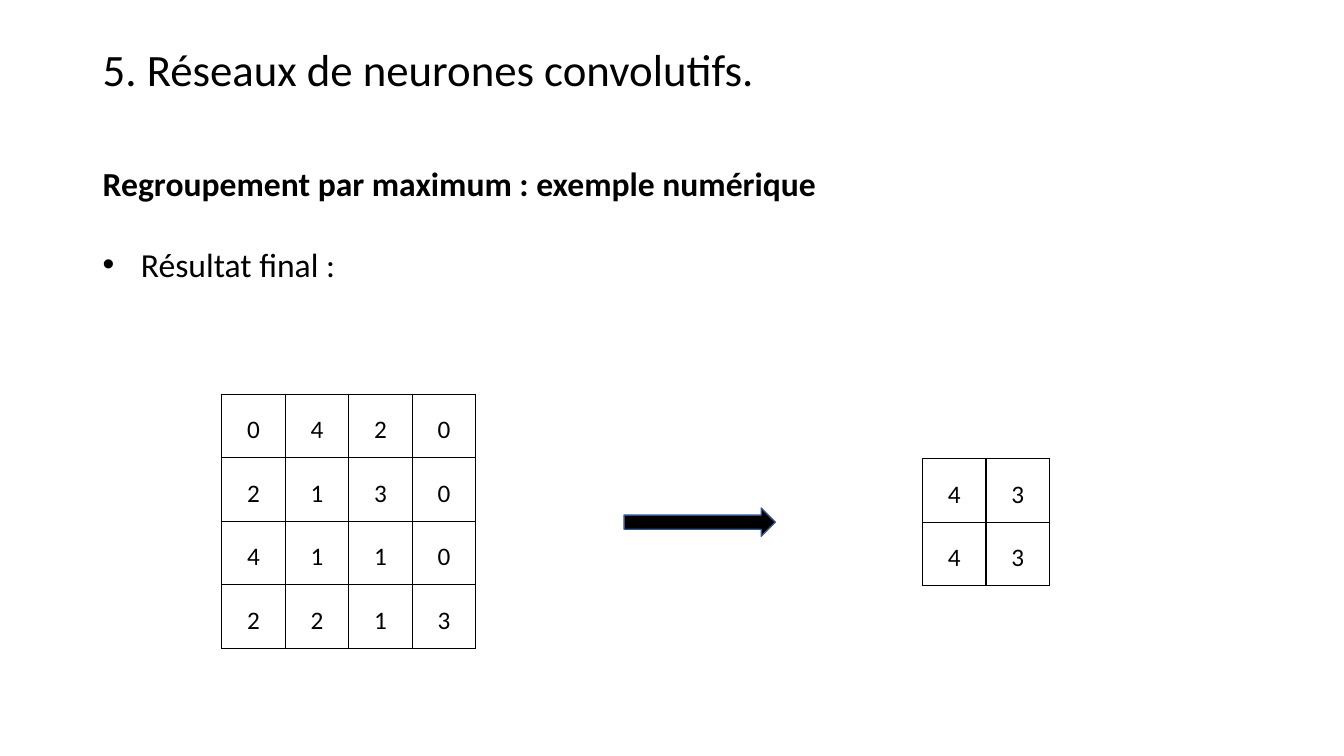
from lxml.etree import SubElement
from pptx import Presentation
from pptx.dml.color import RGBColor
from pptx.enum.shapes import MSO_SHAPE as Shape
from pptx.enum.text import MSO_ANCHOR as Anchor, PP_ALIGN as Align
from pptx.oxml import parse_xml
from pptx.oxml.ns import nsdecls, qn
from pptx.util import Pt

PX = 9144
CELL = 63
FONT = "Calibri"
BLACK = RGBColor(0, 0, 0)
WHITE = RGBColor(255, 255, 255)
BLUE = RGBColor(0x32, 0x54, 0x91)

INPUT = ["0420", "2130", "4110", "2213"]
POOLED = ["43", "43"]


def scale(*sizes):
    return [size * PX for size in sizes]


def style(para, text, size, bold=False):
    para.text = text
    font = para.font
    font.name, font.size, font.bold = FONT, Pt(size), bold
    font.color.rgb = BLACK


def add_box(slide, *place, anchor=Anchor.TOP):
    frame = slide.shapes.add_textbox(*scale(*place)).text_frame
    frame.word_wrap = True
    frame.vertical_anchor = anchor
    return frame


def add_bullet(para):
    props = para._p.get_or_add_pPr()
    props.set("marL", str(38 * PX))
    props.set("indent", str(-38 * PX))
    SubElement(props, qn("a:buFont"), typeface="Arial")
    SubElement(props, qn("a:buChar"), char="•")


def add_border(cell):
    props = cell._tc.get_or_add_tcPr()
    for spot, side in enumerate("LRTB"):
        props.insert(spot, parse_xml(
            f'<a:ln{side} {nsdecls("a")} w="{Pt(1)}"><a:solidFill>'
            f'<a:srgbClr val="{BLACK}"/></a:solidFill></a:ln{side}>'))


def add_grid(slide, left, top, values):
    rows, cols = len(values), len(values[0])
    place = scale(left, top, cols * CELL, rows * CELL)
    table = slide.shapes.add_table(rows, cols, *place).table
    table.first_row = table.horz_banding = False
    for cell, value in zip(table.iter_cells(), "".join(values)):
        cell.fill.solid()
        cell.fill.fore_color.rgb = WHITE
        add_border(cell)
        para = cell.text_frame.paragraphs[0]
        style(para, value, 18)
        para.alignment = Align.CENTER
        para.line_spacing = 1.5


def add_arrow(slide, *place):
    arrow = slide.shapes.add_shape(Shape.RIGHT_ARROW, *scale(*place))
    arrow.shadow.inherit = False
    arrow.fill.solid()
    arrow.fill.fore_color.rgb = BLACK
    arrow.line.color.rgb = BLUE
    arrow.line.width = Pt(1)


def main():
    deck = Presentation()
    deck.slide_width, deck.slide_height = scale(1333, 750)
    slide = deck.slides.add_slide(deck.slide_layouts[6])

    title = add_box(slide, 92, 40, 1150, 63, anchor=Anchor.MIDDLE).paragraphs[0]
    style(title, "5. Réseaux de neurones convolutifs.", 32)
    title.line_spacing = 0.9

    body = add_box(slide, 92, 157, 1151, 131)
    style(body.paragraphs[0], "Regroupement par maximum : exemple numérique", 24, True)
    point = body.add_paragraph()
    style(point, "Résultat final :", 24)
    point.space_before = Pt(29)
    add_bullet(point)

    add_grid(slide, 220, 391, INPUT)
    add_grid(slide, 915, 455, POOLED)
    add_arrow(slide, 619, 504, 150, 28)
    deck.save("out.pptx")


if __name__ == "__main__":
    main()
